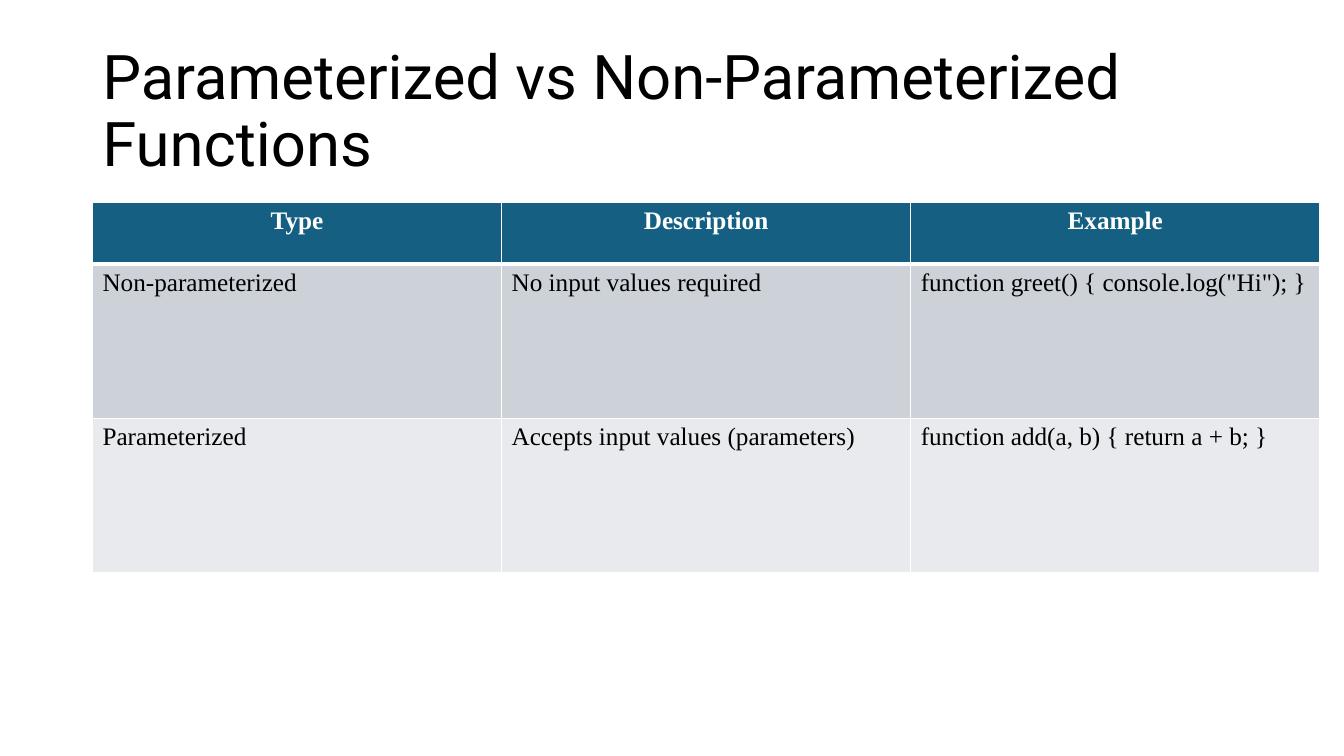
from lxml.etree import SubElement
from pptx import Presentation
from pptx.dml.color import RGBColor
from pptx.enum.text import MSO_ANCHOR as Anchor, PP_ALIGN as Align
from pptx.oxml.ns import qn
from pptx.util import Cm, Pt

TITLE = "Parameterized vs Non-Parameterized Functions"
COMPARISON = [
    ("Type", "Description", "Example"),
    ("Non-parameterized", "No input values required",
     'function greet() { console.log("Hi"); }'),
    ("Parameterized", "Accepts input values (parameters)",
     "function add(a, b) { return a + b; }"),
]
ROW_FILLS = ["156082", "CCD2D8", "E8EAED"]
ROW_HEIGHTS = [1.57, 3.88, 3.88]
COLUMN_WIDTH = 10.31
LEFT = 2.33
WHITE, BLACK = "FFFFFF", "000000"


def color(hex_value):
    return RGBColor.from_string(hex_value)


def style_text(paragraph, font_name, size, hex_value, bold=False):
    for run in paragraph.runs:
        run.font.name = font_name
        run.font.size = Pt(size)
        run.font.bold = bold
        run.font.color.rgb = color(hex_value)


def add_title(slide):
    frame = slide.shapes.add_textbox(
        Cm(LEFT), Cm(1.01), Cm(29.21), Cm(3.68)).text_frame
    frame.word_wrap = True
    frame.vertical_anchor = Anchor.MIDDLE
    frame.text = TITLE
    heading = frame.paragraphs[0]
    heading.line_spacing = 0.9
    style_text(heading, "Roboto", 44, BLACK)


def add_border(cell, side, width):
    """Draw a white line on one side: L, R, T or B."""
    line = SubElement(cell._tc.get_or_add_tcPr(), qn(f"a:ln{side}"),
                      w=str(Pt(width)))
    fill = SubElement(line, qn("a:solidFill"))
    SubElement(fill, qn("a:srgbClr"), val=WHITE)


def fill_cell(cell, wording, row):
    is_header = row == 0
    border_widths = {"L": 1, "R": 1, "T": 3 if row == 1 else 1,
                     "B": 3 if is_header else 1}
    for side, width in border_widths.items():
        add_border(cell, side, width)
    cell.fill.solid()
    cell.fill.fore_color.rgb = color(ROW_FILLS[row])
    cell.text_frame.text = wording
    paragraph = cell.text_frame.paragraphs[0]
    paragraph.alignment = Align.CENTER if is_header else Align.LEFT
    style_text(paragraph, "Times New Roman", 18,
               WHITE if is_header else BLACK, is_header)


def add_comparison(slide):
    column_count = len(COMPARISON[0])
    table = slide.shapes.add_table(
        len(COMPARISON), column_count, Cm(LEFT), Cm(5.09),
        Cm(COLUMN_WIDTH * column_count), Cm(sum(ROW_HEIGHTS))).table
    for column in table.columns:
        column.width = Cm(COLUMN_WIDTH)
    for row, wordings in enumerate(COMPARISON):
        table.rows[row].height = Cm(ROW_HEIGHTS[row])
        for column, wording in enumerate(wordings):
            fill_cell(table.cell(row, column), wording, row)


def main():
    deck = Presentation()
    deck.slide_width, deck.slide_height = Cm(33.87), Cm(19.05)
    slide = deck.slides.add_slide(deck.slide_layouts[6])
    add_title(slide)
    add_comparison(slide)
    deck.save("out.pptx")


if __name__ == "__main__":
    main()
